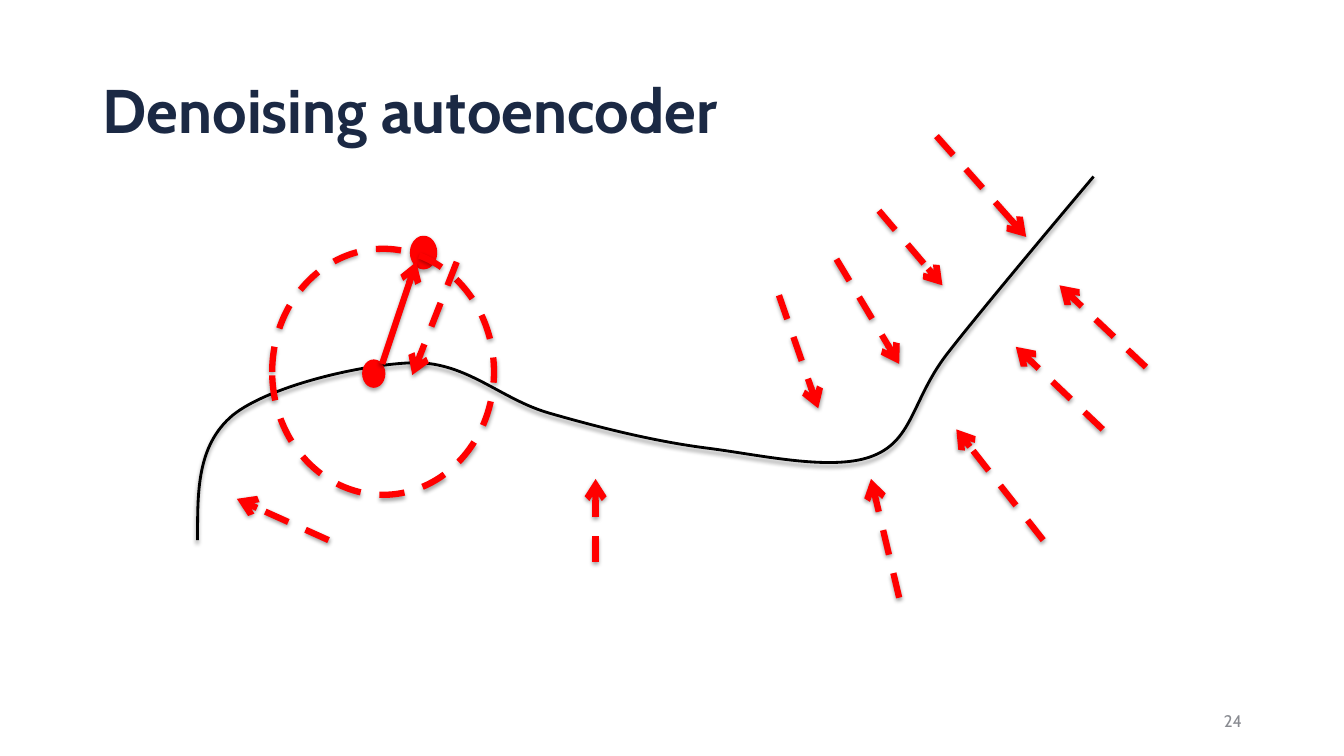
"""Build the slide on the denoising autoencoder: a data curve and the arrows that pull points back to it."""
import lxml.etree
import pptx
import pptx.dml.color
import pptx.enum.dml
import pptx.enum.shapes
import pptx.enum.text
import pptx.oxml.ns
import pptx.util

Cm = pptx.util.Cm
Pt = pptx.util.Pt
qn = pptx.oxml.ns.qn
DASH = pptx.enum.dml.MSO_LINE.DASH
ALIGN = pptx.enum.text.PP_ALIGN
COLORS = {"title": "1B2944", "number": "898B91", "curve": "000000", "noise": "FF0000"}


def style_line(shape, color, width, dash=None, shadow_distance=1.6, shadow_alpha=38):
    """Set the outline and a soft shadow that falls straight down."""
    shape.line.color.rgb = pptx.dml.color.RGBColor.from_string(COLORS[color])
    shape.line.width = Pt(width)
    if dash:
        shape.line.dash_style = dash
    properties = shape._element.spPr
    for effects in properties.findall(qn("a:effectLst")):
        properties.remove(effects)
    effects = lxml.etree.SubElement(properties, qn("a:effectLst"))
    shadow = lxml.etree.SubElement(
        effects, qn("a:outerShdw"), blurRad=str(Pt(3.1)), dist=str(Pt(shadow_distance)),
        dir="5400000", rotWithShape="0")
    shade = lxml.etree.SubElement(shadow, qn("a:srgbClr"), val="000000")
    lxml.etree.SubElement(shade, qn("a:alpha"), val=str(shadow_alpha * 1000))


presentation = pptx.Presentation()
presentation.slide_width = Cm(33.87)
presentation.slide_height = Cm(19.05)
slide = presentation.slides.add_slide(presentation.slide_layouts[6])

texts = [
    ("Denoising autoencoder", (2.34, 1.02, 29.21, 3.68), 44, "title", True, ALIGN.LEFT, 0.9),
    ("24", (23.93, 17.65, 7.62, 1.02), 12, "number", False, ALIGN.RIGHT, 1.0),
]
for text, box, size, color, bold, alignment, spacing in texts:
    text_frame = slide.shapes.add_textbox(*map(Cm, box)).text_frame
    text_frame.word_wrap = True
    text_frame.vertical_anchor = pptx.enum.text.MSO_ANCHOR.MIDDLE
    text_frame.text = text
    paragraph = text_frame.paragraphs[0]
    paragraph.alignment = alignment
    paragraph.line_spacing = spacing
    font = paragraph.runs[0].font
    font.name = "Cabin"
    font.size = Pt(size)
    font.bold = bold
    font.color.rgb = pptx.dml.color.RGBColor.from_string(COLORS[color])

curve_start = (4.98, 13.61)
curve_controls = [
    (4.98, 12.42), (4.95, 11.23), (5.87, 10.46),
    (6.78, 9.73), (9.12, 9.17), (10.46, 9.14),
    (11.79, 9.14), (12.62, 10.06), (13.84, 10.41),
    (15.09, 10.77), (16.51, 11.13), (17.88, 11.3),
    (19.25, 11.48), (21.03, 11.89), (22.02, 11.48),
    (23.04, 11.07), (22.99, 10.01), (23.93, 8.84),
    (24.84, 7.67), (27.56, 4.45), (27.56, 4.45),
]
builder = slide.shapes.build_freeform(*map(Cm, curve_start))
builder.add_line_segments([(Cm(x), Cm(y)) for x, y in curve_controls], close=False)
curve = builder.convert_to_shape()
curve.fill.background()
style_line(curve, "curve", 2)

outline = next(curve._element.iter(qn("a:path")))
segments = outline.findall(qn("a:lnTo"))
for first in range(0, len(segments), 3):
    bezier = lxml.etree.SubElement(outline, qn("a:cubicBezTo"))
    for segment in segments[first:first + 3]:
        bezier.append(segment[0])
        outline.remove(segment)

ellipses = [
    ((9.14, 9.07, 0.56, 0.69), 0.75, True),
    ((10.41, 6.02, 0.53, 0.69), 4.5, True),
    ((6.86, 6.27, 5.59, 6.2), 4.5, False),
]
for box, width, filled in ellipses:
    ellipse = slide.shapes.add_shape(pptx.enum.shapes.MSO_SHAPE.OVAL, *map(Cm, box))
    if filled:
        ellipse.fill.solid()
        ellipse.fill.fore_color.rgb = pptx.dml.color.RGBColor.from_string(COLORS["noise"])
    else:
        ellipse.fill.background()
    style_line(ellipse, "noise", width, None if filled else DASH, 1.8, 35)

arrows = [
    ((9.63, 9.17, 10.49, 6.6), None),
    ((11.51, 6.6, 10.39, 9.45), DASH),
    ((19.63, 7.44, 20.62, 10.29), DASH),
    ((22.15, 5.31, 23.75, 7.19), DASH),
    ((21.08, 6.53, 22.66, 9.17), DASH),
    ((23.6, 3.43, 25.86, 5.97), DASH),
    ((28.88, 9.25, 26.7, 7.19), DASH),
    ((27.79, 10.82, 25.6, 8.74), DASH),
    ((26.29, 13.61, 24.1, 10.82), DASH),
    ((22.66, 15.06, 21.95, 12.07), DASH),
    ((15.01, 14.15, 15.01, 12.07), DASH),
    ((8.28, 13.61, 5.97, 12.57), DASH),
]
for ends, dash in arrows:
    arrow = slide.shapes.add_connector(pptx.enum.shapes.MSO_CONNECTOR.STRAIGHT, *map(Cm, ends))
    style_line(arrow, "noise", 4.5, dash)
    lxml.etree.SubElement(arrow._element.spPr.find(qn("a:ln")), qn("a:tailEnd"), type="arrow")

presentation.save("out.pptx")
